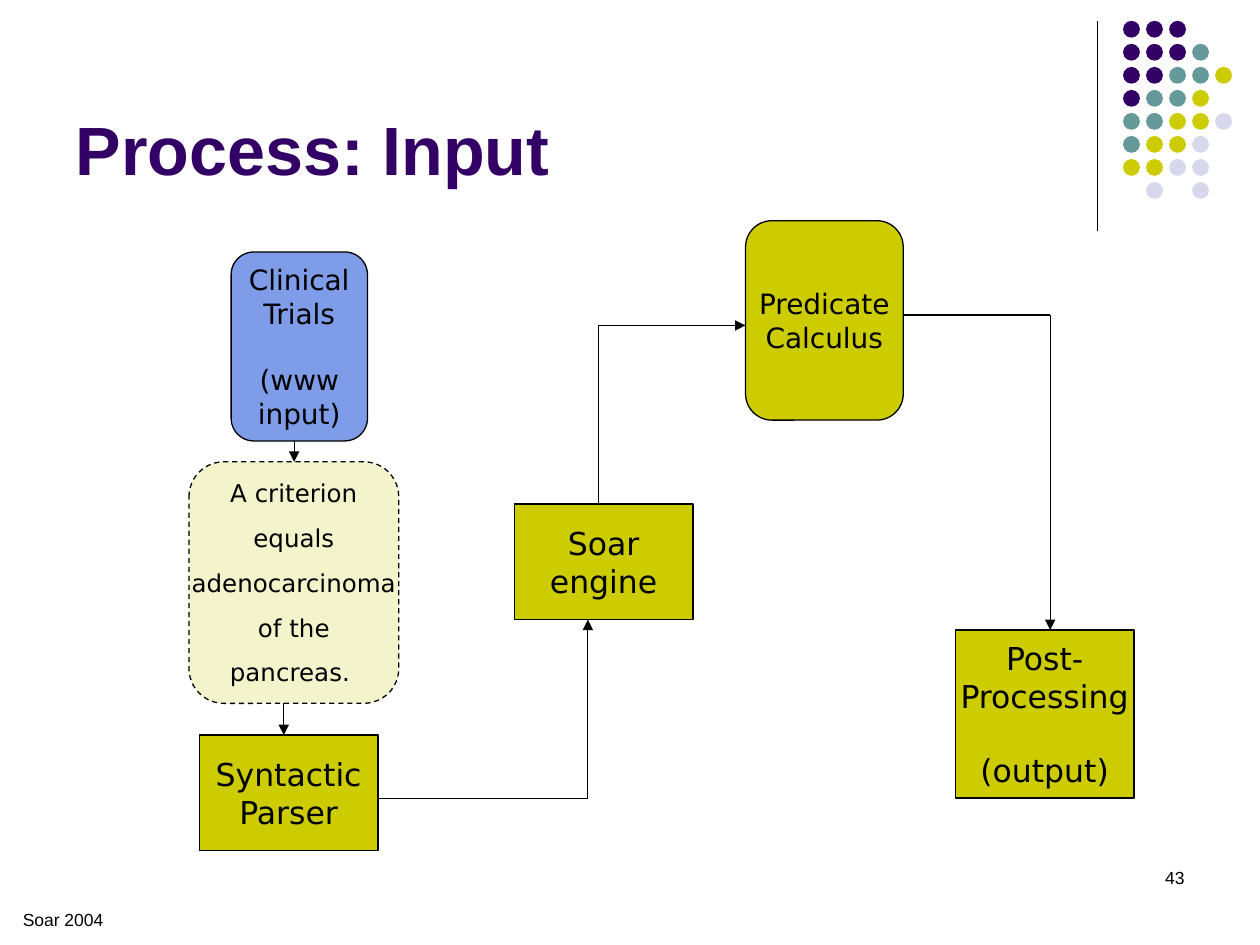
from itertools import pairwise

from lxml import etree
from pptx import Presentation
from pptx import util as u
from pptx.dml.color import RGBColor
from pptx.enum import dml, shapes, text
from pptx.oxml.ns import qn

THEME = {
    "purple": "330066", "teal": "669999", "olive": "CCCC00", "mist": "D8D8EC",
    "blue": "7E9CE8", "ink": "000000",
    "head_font": "Arial", "body_font": "DejaVu Sans",
    "title": 39, "large": 18, "medium": 16, "body": 14, "small": 10, "line": 0.75,
}
TITLE = "Process: Input"
TITLE_BOX = (1.27, 0.33, 20.96, 3.61)
RECT = shapes.MSO_SHAPE.RECTANGLE
ROUND = shapes.MSO_SHAPE.ROUNDED_RECTANGLE

BOXES = {
    "parser": dict(at=(4.02, 14.82, 3.6, 2.33), kind=RECT, color="olive", size="large",
                   groups=[["Syntactic", "Parser"]]),
    "trials": dict(at=(4.66, 5.08, 2.75, 3.81), kind=ROUND, color="blue", size="medium",
                   groups=[["Clinical", "Trials"], ["(www", "input)"]], gap=18.6),
    "criterion": dict(at=(3.81, 9.31, 4.23, 4.87), kind=ROUND, color="olive", size="body",
                      groups=[["A criterion"], ["equals"], ["adenocarcinoma"], ["of the"],
                              ["pancreas. "]],
                      gap=8.8, alpha=20, dashed=True),
    "soar": dict(at=(10.37, 10.16, 3.6, 2.33), kind=RECT, color="olive", size="large",
                 groups=[["Soar", "engine"]]),
    "predicate": dict(at=(15.03, 4.45, 3.18, 4.02), kind=ROUND, color="olive", size="medium",
                      groups=[["Predicate", "Calculus"]]),
    "post": dict(at=(19.26, 12.7, 3.6, 3.39), kind=RECT, color="olive", size="large",
                 groups=[["Post-", "Processing"], ["(output)"]], gap=21),
}
DOWN_ROUTES = [("trials", "criterion", 5.93), ("criterion", "parser", 5.72)]
RIGHT_UP_ROUTE = ("parser", "soar", 11.85, 16.09)
UP_RIGHT_ROUTE = ("soar", "predicate", 12.07, 6.56)
RIGHT_DOWN_ROUTE = ("predicate", "post", 21.17, 6.35)

DOT_COLORS = {"P": "purple", "T": "teal", "O": "olive", "M": "mist"}
DOT_ROWS = ["PPP", "PPPT", "PPTTO", "PTTO", "TTOOM", "TOOM", "OOMM", " M M"]
DOT_LEFT, DOT_TOP, DOT_SIZE, DOT_PITCH = 22.64, 0.42, 0.34, 3.25 / 7
RULE = [(22.12, 0.42), (22.12, 4.65)]
NOTES = [
    ("43", (18.2, 17.36, 5.93, 1.27), text.PP_ALIGN.RIGHT),
    ("Soar 2004", (0.21, 18.2, 4.02, 0.64), text.PP_ALIGN.LEFT),
]


def cm(values):
    return [u.Cm(v) for v in values]


def rgb(name):
    return RGBColor.from_string(THEME[name])


def write(p, words, *, size, font="body_font", color="ink", bold=False,
          align=text.PP_ALIGN.CENTER, before=0):
    p.alignment = align
    p.space_before = u.Pt(before)
    r = p.add_run()
    r.text = words
    r.font.name = THEME[font]
    r.font.size = u.Pt(THEME[size])
    r.font.bold = bold
    r.font.color.rgb = rgb(color)


def add_shape(s, kind, at, color):
    sp = s.shapes.add_shape(kind, *cm(at))
    sp.shadow.inherit = False
    sp.fill.solid()
    sp.fill.fore_color.rgb = rgb(color)
    sp.line.fill.background()
    return sp


def add_box(s, at, kind, color, size, groups, gap=0, alpha=None, dashed=False):
    sp = add_shape(s, kind, at, color)
    sp.line.color.rgb = rgb("ink")
    sp.line.width = u.Pt(THEME["line"])
    if dashed:
        sp.line.dash_style = dml.MSO_LINE.DASH
    if alpha:
        clr = sp.fill._xPr.find(qn("a:solidFill"))[0]
        etree.SubElement(clr, qn("a:alpha"), val=str(alpha * 1000))
    tf = sp.text_frame
    tf.word_wrap = False
    tf.vertical_anchor = text.MSO_ANCHOR.MIDDLE
    p = tf.paragraphs[0]
    for g, lines in enumerate(groups):
        for i, words in enumerate(lines):
            if g or i:
                p = tf.add_paragraph()
            write(p, words, size=size, before=gap if g and i == 0 else 0)


def add_route(s, points, arrow=True):
    for start, end in pairwise(points):
        c = s.shapes.add_connector(shapes.MSO_CONNECTOR.STRAIGHT, *cm(start + end))
        c.line.color.rgb = rgb("ink")
        c.line.width = u.Pt(THEME["line"])
        if arrow and end == points[-1]:
            etree.SubElement(c.line._get_or_add_ln(), qn("a:tailEnd"), type="triangle")
        etree.SubElement(c._element.spPr, qn("a:effectLst"))


def edges(name):
    x, y, w, h = BOXES[name]["at"]
    return {"left": x, "top": y, "right": x + w, "bottom": y + h}


def routes():
    for a, b, x in DOWN_ROUTES:
        yield [(x, edges(a)["bottom"]), (x, edges(b)["top"])]
    a, b, x, y = RIGHT_UP_ROUTE
    yield [(edges(a)["right"], y), (x, y), (x, edges(b)["bottom"])]
    a, b, x, y = UP_RIGHT_ROUTE
    yield [(x, edges(a)["top"]), (x, y), (edges(b)["left"], y)]
    a, b, x, y = RIGHT_DOWN_ROUTE
    yield [(edges(a)["right"], y), (x, y), (x, edges(b)["top"])]


def add_title(s):
    sp = s.shapes.title
    sp.left, sp.top, sp.width, sp.height = cm(TITLE_BOX)
    tf = sp.text_frame
    tf.word_wrap = True
    tf.vertical_anchor = text.MSO_ANCHOR.BOTTOM
    write(tf.paragraphs[0], TITLE, size="title", font="head_font", color="purple",
          bold=True, align=text.PP_ALIGN.LEFT)


def add_dots(s):
    for row, marks in enumerate(DOT_ROWS):
        for col, mark in enumerate(marks):
            if mark in DOT_COLORS:
                at = (DOT_LEFT + col * DOT_PITCH, DOT_TOP + row * DOT_PITCH, DOT_SIZE, DOT_SIZE)
                add_shape(s, shapes.MSO_SHAPE.OVAL, at, DOT_COLORS[mark])


def main():
    prs = Presentation()
    prs.slide_width, prs.slide_height = cm((25.4, 19.05))
    s = prs.slides.add_slide(prs.slide_layouts[5])
    add_route(s, RULE, arrow=False)
    add_dots(s)
    add_title(s)
    for box in BOXES.values():
        add_box(s, **box)
    for points in routes():
        add_route(s, points)
    for words, at, align in NOTES:
        tf = s.shapes.add_textbox(*cm(at)).text_frame
        tf.word_wrap = True
        write(tf.paragraphs[0], words, size="small", font="head_font", align=align)
    prs.save("out.pptx")


if __name__ == "__main__":
    main()
